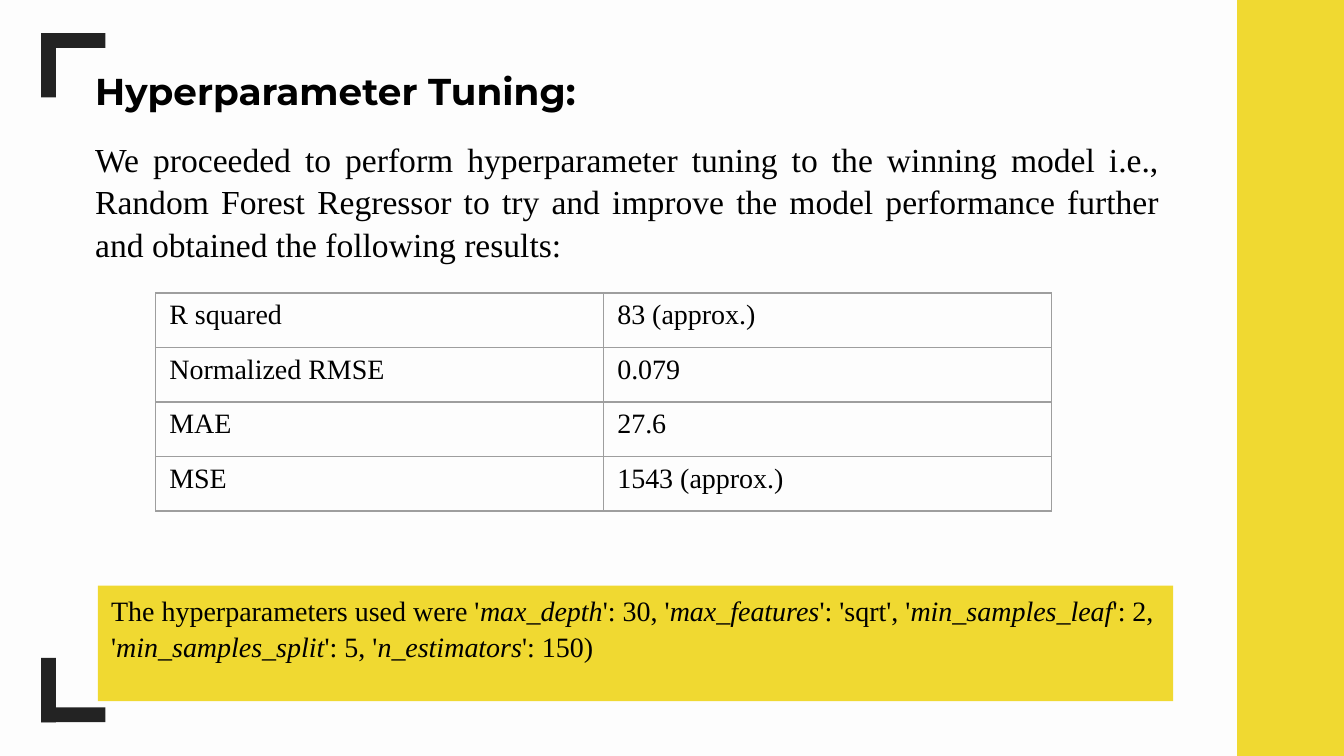
from pptx import Presentation
from pptx.dml.color import RGBColor
from pptx.enum.shapes import MSO_SHAPE as Shape
from pptx.enum.text import MSO_ANCHOR as Anchor, PP_ALIGN as Align
from pptx.oxml import parse_xml
from pptx.oxml.ns import nsdecls
from pptx.util import Pt

WIDTH, HEIGHT = 720, 405
BLACK, DARK, YELLOW, PAPER, GRID = "000000", "232323", "F0D931", "FDFDFD", "9E9E9E"
SERIF, HEADING = "Times New Roman", "Montserrat"
RESULTS = [
    ("R squared", "83 (approx.)"),
    ("Normalized RMSE", "0.079"),
    ("MAE", "27.6"),
    ("MSE", "1543 (approx.)"),
]
SETTINGS = [
    ("max_depth", "30"),
    ("max_features", "'sqrt'"),
    ("min_samples_leaf", "2"),
    ("min_samples_split", "5"),
    ("n_estimators", "150"),
]


def color(value):
    return RGBColor.from_string(value)


def set_font(para, size, name=SERIF, bold=False):
    font = para.font
    font.size, font.name, font.bold = Pt(size), name, bold
    font.color.rgb = color(BLACK)


def add_rect(page, left, top, width, height, fill):
    rect = page.shapes.add_shape(
        Shape.RECTANGLE, Pt(left), Pt(top), Pt(width), Pt(height))
    rect.shadow.inherit = False
    rect.fill.solid()
    rect.fill.fore_color.rgb = color(fill)
    rect.line.fill.background()
    return rect


def add_bracket(page, left, top, size, thick, at_bottom):
    """Corner mark with its upright on the left."""
    add_rect(page, left, top, thick, size, DARK)
    bar_top = top + size - thick if at_bottom else top
    add_rect(page, left, bar_top, size, thick, DARK)


def add_text(page, left, top, width, height, text, wrap=True):
    box = page.shapes.add_textbox(Pt(left), Pt(top), Pt(width), Pt(height))
    box.text_frame.word_wrap = wrap
    para = box.text_frame.paragraphs[0]
    para.text = text
    return para


def add_cell_borders(cell):
    properties = cell._tc.get_or_add_tcPr()
    for position, side in enumerate(("lnL", "lnR", "lnT", "lnB")):
        properties.insert(position, parse_xml(
            f'<a:{side} {nsdecls("a")} w="{Pt(0.75)}"><a:solidFill>'
            f'<a:srgbClr val="{GRID}"/></a:solidFill></a:{side}>'))


def add_results(page, left, top, width, height):
    table = page.shapes.add_table(
        len(RESULTS), 2, Pt(left), Pt(top), Pt(width), Pt(height)).table
    table.first_row = table.horz_banding = False
    for row, values in zip(table.rows, RESULTS):
        for cell, value in zip(row.cells, values):
            cell.text = value
            cell.fill.background()
            set_font(cell.text_frame.paragraphs[0], 15)
            add_cell_borders(cell)


def add_settings(page, left, top, width, height):
    frame = add_rect(page, left, top, width, height, YELLOW).text_frame
    frame.word_wrap = True
    frame.vertical_anchor = Anchor.TOP
    para = frame.paragraphs[0]
    para.alignment = Align.LEFT
    para.line_spacing = 1.05
    lead = "The hyperparameters used were '"
    for name, value in SETTINGS:
        para.add_run().text = lead
        span = para.add_run()
        span.text = name
        span.font.italic = True
        lead = f"': {value}, '"
    para.add_run().text = f"': {value})"
    set_font(para, 15)


def add_tuning_page(deck):
    page = deck.slides.add_slide(deck.slide_layouts[6])
    page.background.fill.solid()
    page.background.fill.fore_color.rgb = color(PAPER)
    add_bracket(page, 22, 352.5, 34.5, 8, at_bottom=True)
    add_bracket(page, 22, 17.75, 34.5, 8, at_bottom=False)
    add_rect(page, 662.7, 0, WIDTH - 662.7, HEIGHT, YELLOW)

    title = add_text(page, 43.9, 33.1, 280, 31.7, "Hyperparameter Tuning:", wrap=False)
    set_font(title, 20, HEADING, bold=True)
    intro = add_text(
        page, 43.9, 69.8, 584.6, 72.7,
        "We proceeded to perform hyperparameter tuning to the winning model "
        "i.e., Random Forest Regressor to try and improve the model "
        "performance further and obtained the following results:")
    intro.alignment = Align.JUSTIFY
    intro.line_spacing = 1.05
    set_font(intro, 18)

    add_results(page, 83.5, 157, 480, 116.8)
    add_settings(page, 52.5, 313.7, 576, 61.9)


def main():
    deck = Presentation()
    deck.slide_width, deck.slide_height = Pt(WIDTH), Pt(HEIGHT)
    add_tuning_page(deck)
    deck.save("out.pptx")


if __name__ == "__main__":
    main()
